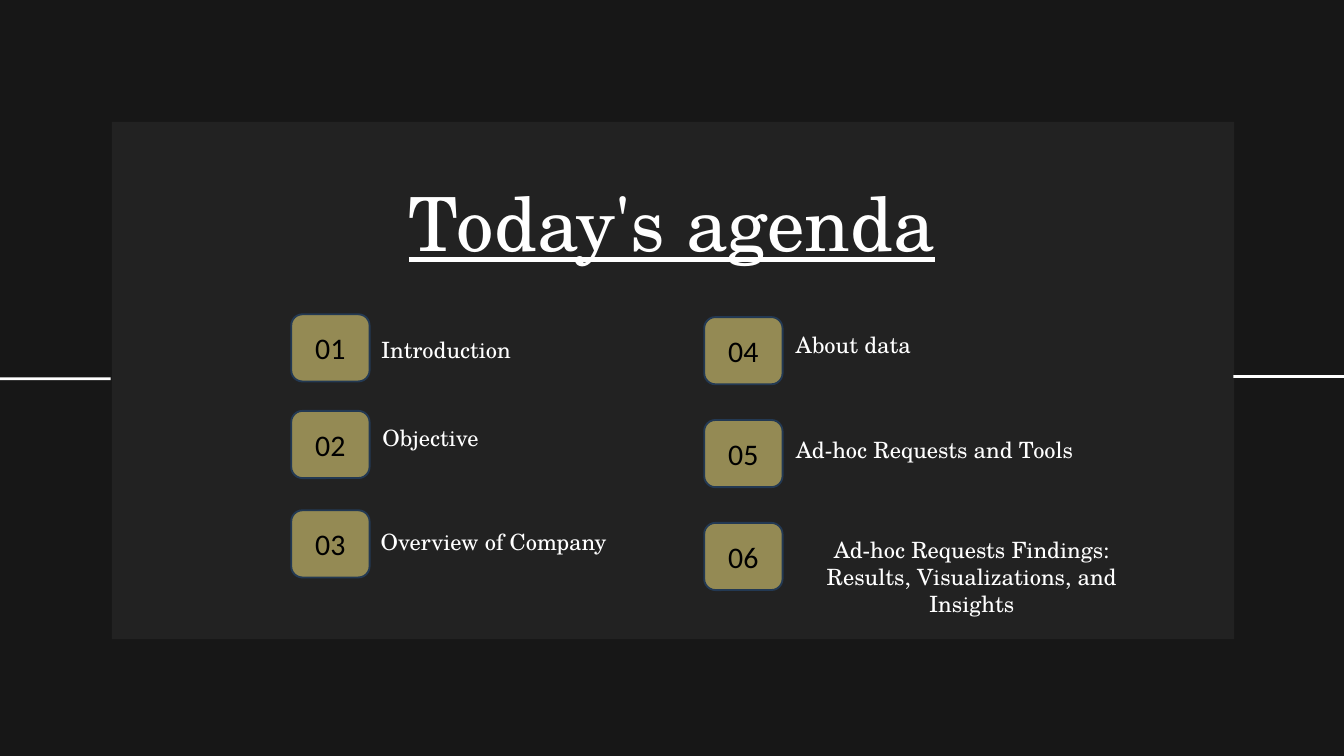
from typing import NamedTuple

from lxml import etree
from pptx import Presentation
from pptx import util as u
from pptx.dml.color import RGBColor
from pptx.enum import shapes, text
from pptx.oxml.ns import qn
from pptx.shapes.autoshape import Shape
from pptx.slide import Slide

PX = 9525  # EMU per px, 96 px to the inch

BLACK = RGBColor(0x00, 0x00, 0x00)
WHITE = RGBColor(0xFF, 0xFF, 0xFF)
NIGHT = RGBColor(0x17, 0x17, 0x17)
OLIVE = RGBColor(0x94, 0x8A, 0x54)
NAVY = RGBColor(0x23, 0x39, 0x53)

SERIF = "TeX Gyre Schola"
SANS = "Calibri"


class Box(NamedTuple):
    x: int
    y: int
    w: int
    h: int

    def emu(self) -> list[int]:
        return [n * PX for n in self]


class Item(NamedTuple):
    label: str
    x: int
    y: int


class Column(NamedTuple):
    x: int
    tops: tuple[int, ...]
    items: tuple[Item, ...]


PANEL = Box(160, 174, 1603, 739)
TITLE = Box(319, 276, 1282, 105)
RULES = (Box(0, 539, 158, 4), Box(1762, 536, 158, 4))

COLUMNS = (
    Column(416, (449, 587, 729), (
        Item("Introduction", 376, 479),
        Item("Objective", 354, 605),
        Item("Overview of Company", 444, 754),
    )),
    Column(1006, (453, 600, 747), (
        Item("About data", 958, 472),
        Item("Ad-hoc Requests and Tools", 1074, 622),
        Item("Ad-hoc Requests Findings: Results, Visualizations, and Insights",
             1127, 765),
    )),
)


def write(shape: Shape, words: str, *, size: int, font: str = SERIF,
          color: RGBColor = WHITE, line: float | None = None,
          under: bool = False, middle: bool = False) -> None:
    """Put centred text without insets into a shape."""
    frame = shape.text_frame
    frame.word_wrap = True
    frame.auto_size = text.MSO_AUTO_SIZE.NONE
    frame.margin_left = frame.margin_right = 0
    frame.margin_top = frame.margin_bottom = 0
    frame.vertical_anchor = (text.MSO_ANCHOR.MIDDLE if middle
                             else text.MSO_ANCHOR.TOP)
    para = frame.paragraphs[0]
    para.alignment = text.PP_ALIGN.CENTER
    para.space_before = u.Pt(0)
    if line:
        para.line_spacing = u.Pt(line)
    run = para.add_run()
    run.text = words
    run.font.size = u.Pt(size)
    run.font.name = font
    run.font.color.rgb = color
    run.font.underline = under


def block(slide: Slide, box: Box, fill: RGBColor, *,
          kind: shapes.MSO_SHAPE = shapes.MSO_SHAPE.RECTANGLE,
          edge: RGBColor | None = None) -> Shape:
    """Draw a filled shape, outlined only when an edge colour is given."""
    shape = slide.shapes.add_shape(kind, *box.emu())
    shape.shadow.inherit = False
    shape.fill.solid()
    shape.fill.fore_color.rgb = fill
    if edge is None:
        shape.line.fill.background()
    else:
        shape.line.color.rgb = edge
        shape.line.width = u.Pt(2)
    return shape


def fade(shape: Shape, percent: int) -> None:
    """Set the opacity of a solid fill."""
    tone = shape.element.spPr.find(qn("a:solidFill")).find(qn("a:srgbClr"))
    etree.SubElement(tone, qn("a:alpha")).set("val", str(percent * 1000))


def badge(slide: Slide, x: int, y: int, number: int) -> None:
    shape = block(slide, Box(x, y, 112, 96), OLIVE, edge=NAVY,
                  kind=shapes.MSO_SHAPE.ROUNDED_RECTANGLE)
    write(shape, f"{number:02}", size=32, font=SANS, color=BLACK, middle=True)


def label(slide: Slide, item: Item) -> None:
    shape = slide.shapes.add_textbox(*Box(item.x, item.y, 522, 77).emu())
    write(shape, item.label, size=24, line=29.2)


def main() -> None:
    deck = Presentation()
    deck.slide_width, deck.slide_height = 1920 * PX, 1080 * PX
    slide = deck.slides.add_slide(deck.slide_layouts[5])
    slide.background.fill.solid()
    slide.background.fill.fore_color.rgb = NIGHT

    # Title
    title = slide.shapes.title
    title.left, title.top, title.width, title.height = TITLE.emu()
    write(title, "Today's agenda", size=80, line=78.4, under=True)

    # Panel behind the title, with a rule on each side
    panel = block(slide, PANEL, WHITE)
    fade(panel, 5)
    title.element.addprevious(panel.element)
    for rule in RULES:
        block(slide, rule, WHITE)

    # Numbered agenda, column by column
    number = 0
    for column in COLUMNS:
        for top, item in zip(column.tops, column.items):
            number += 1
            badge(slide, column.x, top, number)
            label(slide, item)

    deck.save("out.pptx")


if __name__ == "__main__":
    main()
